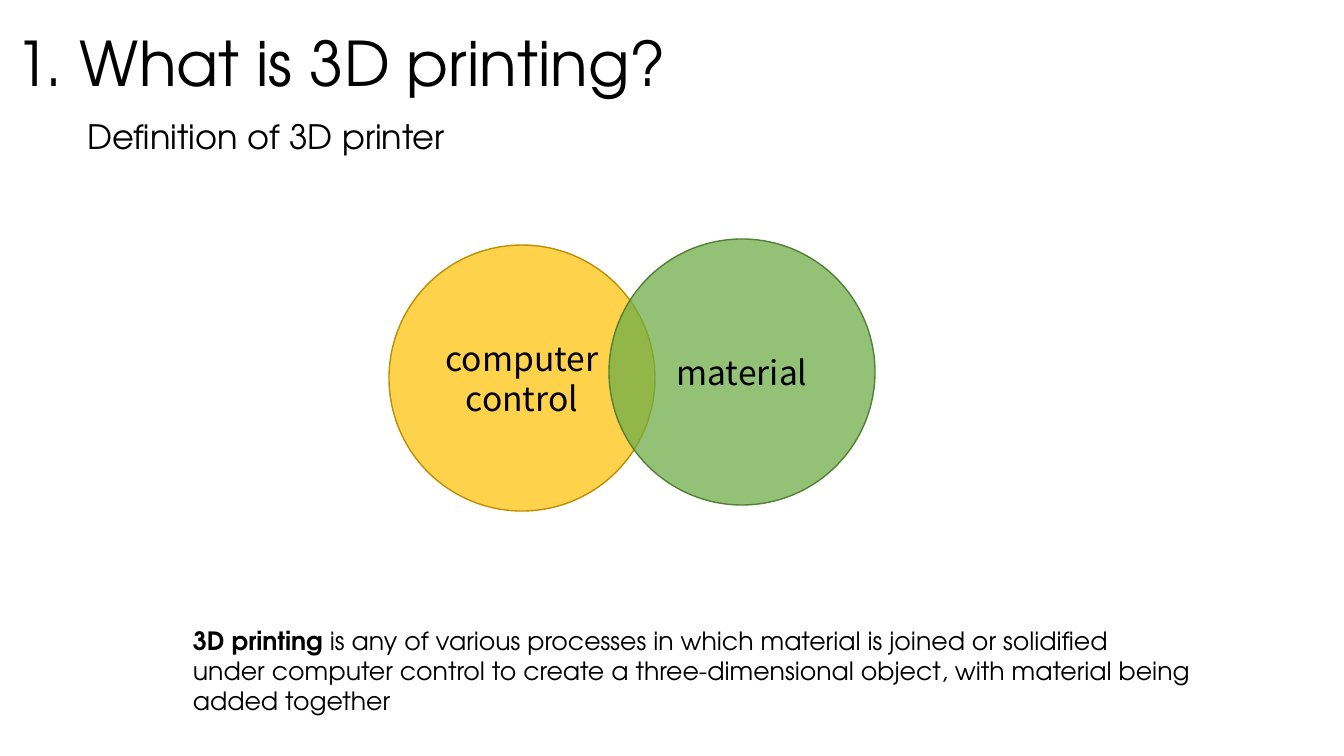
"""Build a slide that defines 3D printing with two overlapping circles."""
from lxml import etree
from pptx import Presentation
from pptx.dml.color import RGBColor
from pptx.enum.shapes import MSO_SHAPE
from pptx.enum.text import MSO_ANCHOR, PP_ALIGN
from pptx.oxml.ns import qn
from pptx.util import Pt

SCALE = 914400 / 100.8
PAGE_SIZE = (1344, 756)
CIRCLE_SIZE = 266
BLANK_LAYOUT = 6

OVAL = MSO_SHAPE.OVAL
TOP, MIDDLE, BOTTOM = MSO_ANCHOR.TOP, MSO_ANCHOR.MIDDLE, MSO_ANCHOR.BOTTOM
LEFT, CENTER = PP_ALIGN.LEFT, PP_ALIGN.CENTER

BLACK = RGBColor(0x00, 0x00, 0x00)
AMBER = RGBColor(0xFF, 0xC0, 0x00)
DARK_AMBER = RGBColor(0xBD, 0x8E, 0x00)
GREEN = RGBColor(0x70, 0xAD, 0x47)
DARK_GREEN = RGBColor(0x53, 0x80, 0x35)

HEADING_FONT = "TeX Gyre Adventor"
CIRCLE_FONT = "Noto Sans CJK KR"

TEXTS = [
    {"at": (0, 0, 682, 105), "anchor": BOTTOM, "size": 44,
     "align": CENTER, "spacing": 0.9,
     "lines": [[("1. What is 3D printing?", False)]]},
    {"at": (66, 116, 400, 50), "anchor": TOP, "size": 24,
     "align": CENTER, "spacing": 0.9,
     "lines": [[("Definition of 3D printer", False)]]},
    {"at": (183, 620, 1039, 102), "anchor": TOP, "size": 18,
     "align": LEFT, "spacing": 1.0,
     "lines": [
         [("3D printing", True),
          (" is any of various processes in which material is joined or solidified", False)],
         [("under computer control to create a three-dimensional object, "
           "with material being", False)],
         [("added together", False)],
     ]},
]

CIRCLES = [
    {"label": "computer control", "at": (389, 245), "fill": AMBER,
     "line": DARK_AMBER, "opacity": 70},
    {"label": "material", "at": (609, 239), "fill": GREEN,
     "line": DARK_GREEN, "opacity": 75},
]


def px(*lengths):
    """Turn px lengths into EMU."""
    return [round(length * SCALE) for length in lengths]


def write(frame, lines, font, size, align, spacing):
    """Fill a text frame with paragraphs of (text, bold) spans."""
    for index, line in enumerate(lines):
        para = frame.paragraphs[0] if index == 0 else frame.add_paragraph()
        para.alignment = align
        para.line_spacing = spacing
        for text, bold in line:
            span = para.add_run()
            span.text = text
            span.font.color.rgb = BLACK
            for name, value in {"name": font, "size": Pt(size), "bold": bold}.items():
                setattr(span.font, name, value)


def add_text(page, item):
    """Add one unwrapped text box."""
    frame = page.shapes.add_textbox(*px(*item["at"])).text_frame
    frame.word_wrap = False
    frame.vertical_anchor = item["anchor"]
    write(frame, item["lines"], HEADING_FONT, item["size"], item["align"], item["spacing"])


def add_circle(page, item):
    """Add one translucent labelled circle."""
    circle = page.shapes.add_shape(OVAL, *px(*item["at"], CIRCLE_SIZE, CIRCLE_SIZE))
    circle.shadow.inherit = False
    circle.fill.solid()
    circle.fill.fore_color.rgb = item["fill"]
    color = circle.fill._xPr.find(qn("a:solidFill"))[0]
    etree.SubElement(color, qn("a:alpha")).set("val", str(item["opacity"] * 1000))
    circle.line.color.rgb = item["line"]
    circle.line.width = Pt(1)
    frame = circle.text_frame
    frame.word_wrap = True
    frame.vertical_anchor = MIDDLE
    write(frame, [[(item["label"], False)]], CIRCLE_FONT, 24, CENTER, 1.0)


def main():
    """Assemble and save the deck."""
    deck = Presentation()
    deck.slide_width, deck.slide_height = px(*PAGE_SIZE)
    page = deck.slides.add_slide(deck.slide_layouts[BLANK_LAYOUT])
    for item in TEXTS:
        add_text(page, item)
    for item in CIRCLES:
        add_circle(page, item)
    deck.save("out.pptx")


if __name__ == "__main__":
    main()
